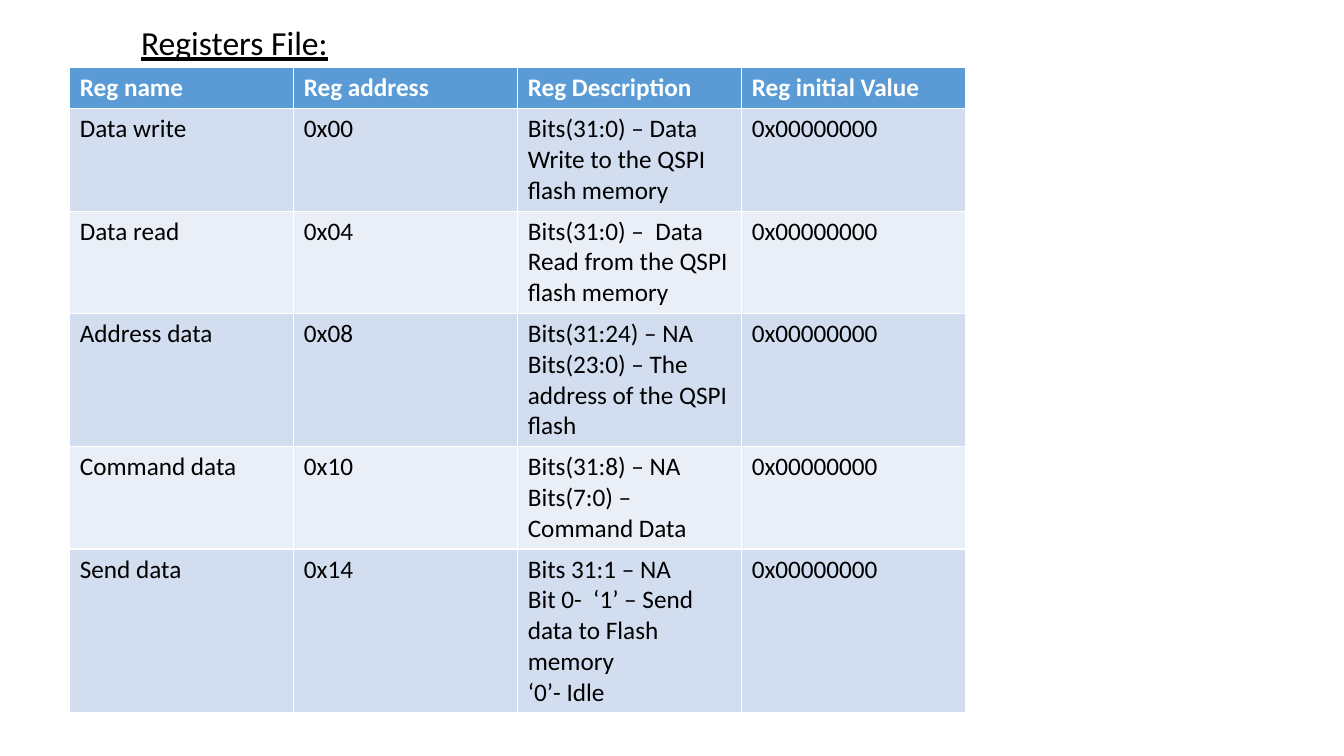
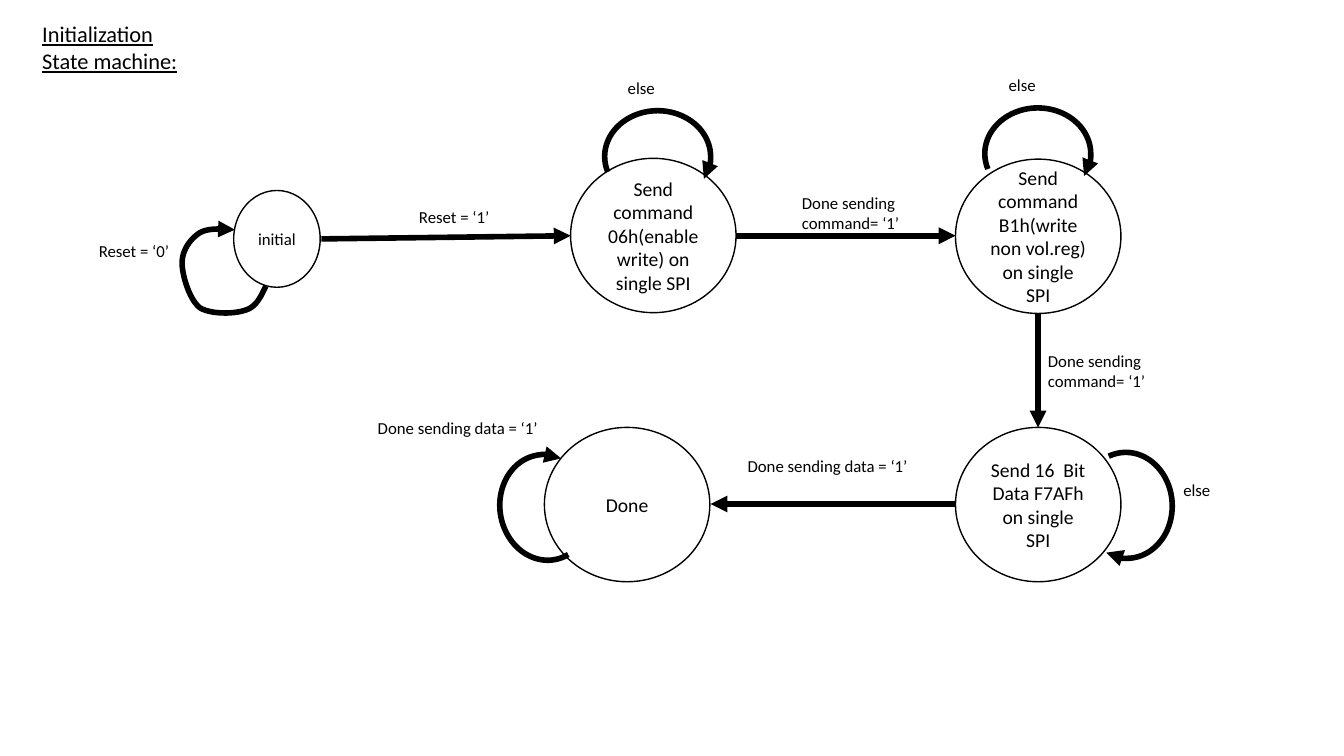
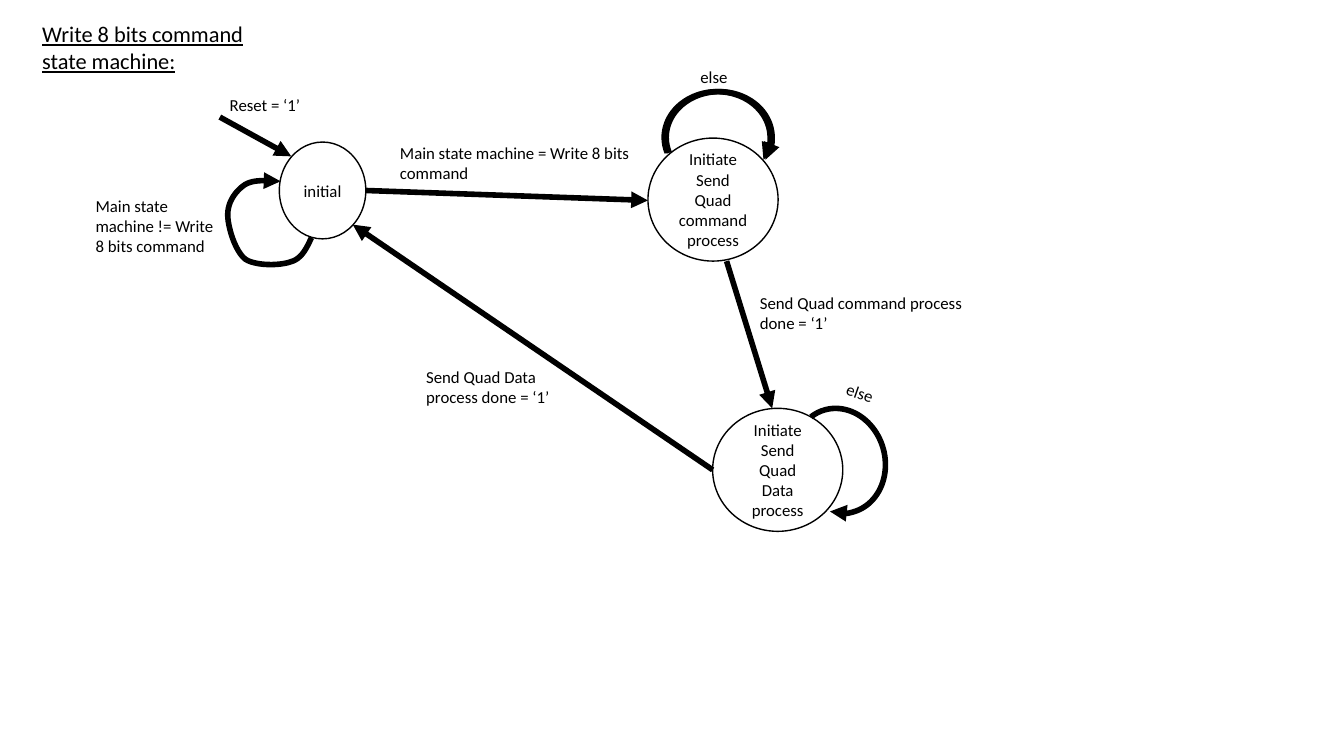
from pptx import Presentation
from pptx.dml.color import RGBColor
from pptx.enum.shapes import MSO_CONNECTOR, MSO_SHAPE
from pptx.enum.text import MSO_ANCHOR, PP_ALIGN
from pptx.oxml.ns import qn
from pptx.oxml.xmlchemy import OxmlElement
from pptx.util import Cm, Pt

FONT = "Calibri"
COLORS = {
    "text": "000000",
    "line": "000000",
    "header_text": "FFFFFF",
    "header": "5B9BD5",
    "odd_row": "D2DEEF",
    "even_row": "EAEFF7",
}
INITIAL_SIZE = (2.18, 2.44)
LARGE_STATE = (4.17, 3.89)
SMALL_STATE = (3.28, 3.10)
LOOP_SIZE = (2.67, 2.31)
LOOP_ANGLES = (97.761, 15.408)

# Bezier curve beside the initial state, measured from its top left corner
INITIAL_LOOP_START = (0.81, 2.41)
INITIAL_LOOP_CURVES = [
    ((0.69, 2.67), (0.56, 2.95), (0.28, 3.02)),
    ((0, 3.12), (-0.61, 3.12), (-0.86, 2.95)),
    ((-1.12, 2.74), (-1.3, 2.13), (-1.3, 1.83)),
    ((-1.3, 1.5), (-1.09, 1.22), (-0.86, 1.07)),
    ((-0.64, 0.94), (-0.3, 0.97), (0.03, 0.99)),
]

REGISTER_HEADER = ["Reg name", "Reg address", "Reg Description", "Reg initial Value"]
REGISTERS = [
    ("Data write", "0x00", "Bits(31:0) – Data Write to the QSPI flash memory"),
    ("Data read", "0x04", "Bits(31:0) –  Data Read from the QSPI flash memory"),
    ("Address data", "0x08",
     "Bits(31:24) – NA\nBits(23:0) – The address of the QSPI flash"),
    ("Command data", "0x10", "Bits(31:8) – NA\nBits(7:0) – Command Data"),
    ("Send data", "0x14",
     "Bits 31:1 – NA\nBit 0-  ‘1’ – Send data to Flash memory\n‘0’- Idle"),
]
INITIAL_VALUE = "0x00000000"
ROW_HEIGHTS = [1.03, 2.58, 2.58, 3.35, 2.58, 4.13]


def rgb(name):
    return RGBColor.from_string(COLORS[name])


def write(text_frame, text, size, color="text", bold=False, underline=False,
          alignment=PP_ALIGN.LEFT):
    text_frame.text = text
    text_frame.word_wrap = True
    for paragraph in text_frame.paragraphs:
        paragraph.alignment = alignment
        for run in paragraph.runs:
            font = run.font
            font.name, font.size = FONT, Pt(size)
            font.bold, font.underline = bold, underline
            font.color.rgb = rgb(color)


def add_titled_slide(presentation, title, box, size):
    slide = presentation.slides.add_slide(presentation.layouts_title_only
                                          if hasattr(presentation, "layouts_title_only")
                                          else presentation.slide_layouts[5])
    shape = slide.shapes.title
    shape.left, shape.top, shape.width, shape.height = map(Cm, box)
    shape.text_frame.vertical_anchor = MSO_ANCHOR.TOP
    write(shape.text_frame, title, size, underline=True)
    return slide


def style_line(shape, width):
    shape.line.color.rgb = rgb("line")
    shape.line.width = Pt(width)


def add_arrowhead(shape):
    head = OxmlElement("a:tailEnd")
    head.set("type", "triangle")
    shape._element.spPr.find(qn("a:ln")).append(head)


def style_loop(shape):
    shape.shadow.inherit = False
    shape.fill.background()
    style_line(shape, 4)
    add_arrowhead(shape)


def add_state(slide, text, left, top, size, font_size):
    shape = slide.shapes.add_shape(MSO_SHAPE.OVAL, *map(Cm, (left, top, *size)))
    shape.shadow.inherit = False
    shape.fill.background()
    style_line(shape, 1)
    shape.text_frame.vertical_anchor = MSO_ANCHOR.MIDDLE
    write(shape.text_frame, text, font_size, alignment=PP_ALIGN.CENTER)


def add_label(slide, text, left, top, width, lines=1, rotation=0):
    height = 0.77 + 0.51 * (lines - 1)
    label = slide.shapes.add_textbox(*map(Cm, (left, top, width, height)))
    label.rotation = rotation
    write(label.text_frame, text, 12)


def add_arrow(slide, *ends):
    arrow = slide.shapes.add_connector(MSO_CONNECTOR.STRAIGHT, *map(Cm, ends))
    style_line(arrow, 4)
    add_arrowhead(arrow)
    arrow._element.spPr.append(OxmlElement("a:effectLst"))


def add_loop(slide, left, top, rotation=0):
    loop = slide.shapes.add_shape(MSO_SHAPE.ARC, *map(Cm, (left, top, *LOOP_SIZE)))
    loop.adjustments[0], loop.adjustments[1] = LOOP_ANGLES
    loop.rotation = rotation
    style_loop(loop)


def bezier_points(start, curves, steps=12):
    """Yield points along joined cubic curves, without the first one."""
    for first, second, end in curves:
        for step in range(1, steps + 1):
            t = step / steps
            weights = ((1 - t) ** 3, 3 * t * (1 - t) ** 2, 3 * t * t * (1 - t), t ** 3)
            yield tuple(
                sum(weight * value for weight, value in zip(weights, values))
                for values in zip(start, first, second, end)
            )
        start = end


def add_initial_state(slide, left, top):
    """Add the initial state with the loop that returns to it."""
    add_state(slide, "initial", left, top, INITIAL_SIZE, 12)
    x, y = INITIAL_LOOP_START
    builder = slide.shapes.build_freeform(Cm(left + x), Cm(top + y))
    points = bezier_points(INITIAL_LOOP_START, INITIAL_LOOP_CURVES)
    builder.add_line_segments(
        [(Cm(left + x), Cm(top + y)) for x, y in points], close=False)
    style_loop(builder.convert_to_shape())


def add_register_table(slide):
    rows = [REGISTER_HEADER] + [(*register, INITIAL_VALUE) for register in REGISTERS]
    box = (1.76, 1.71, 22.58, sum(ROW_HEIGHTS))
    table = slide.shapes.add_table(len(rows), len(REGISTER_HEADER), *map(Cm, box)).table
    for row_index, (row, height) in enumerate(zip(rows, ROW_HEIGHTS)):
        is_header = row_index == 0
        band = "header" if is_header else ("even_row", "odd_row")[row_index % 2]
        table.rows[row_index].height = Cm(height)
        for column_index, text in enumerate(row):
            cell = table.cell(row_index, column_index)
            cell.fill.solid()
            cell.fill.fore_color.rgb = rgb(band)
            write(cell.text_frame, text, 18,
                  "header_text" if is_header else "text", bold=is_header)


def add_registers_slide(presentation):
    slide = add_titled_slide(presentation, "Registers File:", (3.3, 0.43, 5.5, 1.27), 24)
    add_register_table(slide)


def add_initialization_slide(presentation):
    slide = add_titled_slide(presentation, "Initialization State machine:",
                             (0.81, 0.38, 3.94, 1.63), 16)
    add_initial_state(slide, 5.89, 4.8)
    for text, left, top in [
        ("Send command 06h(enable write) on single SPI", 14.38, 3.99),
        ("Send command B1h(write non vol.reg) on single SPI", 24.08, 4.01),
        ("Send 16  Bit Data F7AFh on single SPI", 24.08, 10.77),
        ("Done", 13.72, 10.77),
    ]:
        add_state(slide, text, left, top, LARGE_STATE, 14)
    for ends in [
        (8.1, 6.02, 14.38, 5.94),
        (18.54, 5.94, 24.08, 5.94),
        (26.16, 7.9, 26.16, 10.77),
        (24.08, 12.7, 17.91, 12.7),
    ]:
        add_arrow(slide, *ends)
    for loop in [(15.24, 2.79), (24.82, 2.72), (27.05, 11.58, 87.3), (12.42, 11.63, 261.6)]:
        add_loop(slide, *loop)
    for label in [
        ("Reset = ‘1’", 10.31, 5.08, 2.74),
        ("Reset = ‘0’", 2.24, 5.94, 2.54),
        ("Done sending command= ‘1’", 19.96, 4.72, 3.73, 2),
        ("Done sending command= ‘1’", 26.16, 8.71, 3.73, 2),
        ("Done sending data = ‘1’", 18.59, 11.35, 5.11),
        ("Done sending data = ‘1’", 9.27, 10.41, 5.11),
        ("else", 15.57, 1.83, 1.98),
        ("else", 25.17, 1.75, 1.98),
        ("else", 29.57, 11.96, 1.98),
    ]:
        add_label(slide, *label)


def add_write_command_slide(presentation):
    slide = add_titled_slide(presentation, "Write 8 bits command state machine:",
                             (0.81, 0.38, 5.59, 1.63), 16)
    add_initial_state(slide, 7.04, 3.58)
    add_state(slide, "Initiate Send Quad command process", 16.33, 3.48, SMALL_STATE, 12)
    add_state(slide, "Initiate Send Quad Data\nprocess", 17.96, 10.29, SMALL_STATE, 12)
    for ends in [
        (5.54, 2.95, 7.34, 3.94),
        (9.22, 4.8, 16.33, 5.05),
        (18.31, 6.58, 19.46, 10.29),
        (17.96, 11.84, 8.89, 5.66),
    ]:
        add_arrow(slide, *ends)
    for loop in [(16.79, 2.31), (16.74, 2.31), (19.81, 10.46, 74.5)]:
        add_loop(slide, *loop)
    for label in [
        ("Main state machine = Write 8 bits command", 9.83, 3.48, 6.48, 2),
        ("Reset = ‘1’", 5.54, 2.26, 2.49),
        ("Main state machine != Write 8 bits command", 2.16, 4.8, 3.73, 3),
        ("Send Quad command process done = ‘1’", 18.9, 7.26, 6.48, 2),
        ("Send Quad Data\nprocess done = ‘1’", 10.49, 9.12, 4.45, 2),
        ("else", 17.4, 1.55, 1.98),
        ("else", 21.06, 9.65, 1.98, 1, 19.2),
    ]:
        add_label(slide, *label)


def main():
    presentation = Presentation()
    presentation.slide_width, presentation.slide_height = Cm(33.87), Cm(19.05)
    add_registers_slide(presentation)
    add_initialization_slide(presentation)
    add_write_command_slide(presentation)
    presentation.save("out.pptx")


if __name__ == "__main__":
    main()
